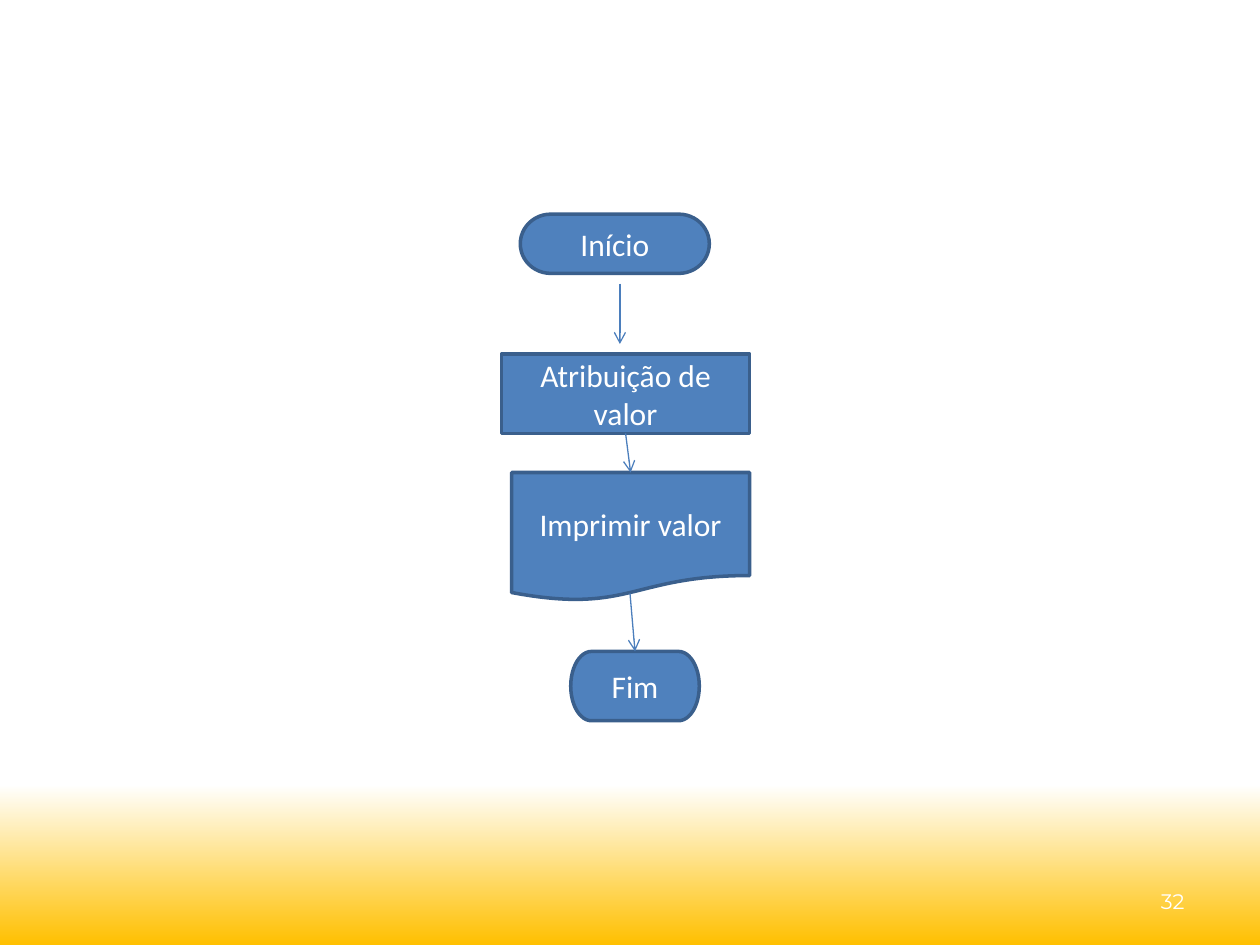
from dataclasses import dataclass

from lxml import etree
from pptx import Presentation
from pptx.dml.color import RGBColor
from pptx.enum.shapes import MSO_CONNECTOR, MSO_SHAPE
from pptx.enum.text import MSO_ANCHOR, PP_ALIGN
from pptx.oxml.ns import qn
from pptx.util import Inches, Pt

TERMINATOR = MSO_SHAPE.FLOWCHART_TERMINATOR
PROCESS = MSO_SHAPE.FLOWCHART_PROCESS
DOCUMENT = MSO_SHAPE.FLOWCHART_DOCUMENT
STRAIGHT = MSO_CONNECTOR.STRAIGHT
MIDDLE = MSO_ANCHOR.MIDDLE
CENTER, RIGHT = PP_ALIGN.CENTER, PP_ALIGN.RIGHT
TOP_SIDE, BOTTOM_SIDE = 0, 2


@dataclass(frozen=True)
class Theme:
    white: RGBColor = RGBColor(0xFF, 0xFF, 0xFF)
    gold: RGBColor = RGBColor(0xFF, 0xC0, 0x00)
    step_fill: RGBColor = RGBColor(0x4F, 0x81, 0xBD)
    step_line: RGBColor = RGBColor(0x3A, 0x5F, 0x8C)
    arrow: RGBColor = RGBColor(0x4B, 0x7E, 0xBC)
    step_font: str = "Calibri"
    number_font: str = "Montserrat"
    step_size: Pt = Pt(18)
    number_size: Pt = Pt(12)
    step_line_width: Pt = Pt(2)
    arrow_width: Pt = Pt(0.75)


THEME = Theme()


def paint_background(slide):
    fill = slide.background.fill
    fill.gradient()
    fill.gradient_angle = 270
    stops = ((0.83, THEME.white), (1, THEME.gold))
    for stop, (position, color) in zip(fill.gradient_stops, stops):
        stop.position = position
        stop.color.rgb = color


def write(frame, text, font_name, size, alignment):
    frame.word_wrap = True
    frame.vertical_anchor = MIDDLE
    paragraph = frame.paragraphs[0]
    paragraph.alignment = alignment
    run = paragraph.add_run()
    run.text = text
    run.font.name = font_name
    run.font.size = size
    run.font.color.rgb = THEME.white


def add_step(slide, outline, text, left, top, width, height):
    step = slide.shapes.add_shape(
        outline, Inches(left), Inches(top), Inches(width), Inches(height))
    step.shadow.inherit = False
    step.fill.solid()
    step.fill.fore_color.rgb = THEME.step_fill
    step.line.color.rgb = THEME.step_line
    step.line.width = THEME.step_line_width
    write(step.text_frame, text, THEME.step_font, THEME.step_size, CENTER)
    return step


def add_arrow(slide, x1, y1, x2, y2):
    arrow = slide.shapes.add_connector(
        STRAIGHT, Inches(x1), Inches(y1), Inches(x2), Inches(y2))
    arrow.line.color.rgb = THEME.arrow
    arrow.line.width = THEME.arrow_width
    outline = arrow.line._get_or_add_ln()
    etree.SubElement(outline, qn("a:tailEnd"), type="arrow")
    etree.SubElement(arrow._element.spPr, qn("a:effectLst"))
    return arrow


def add_flowchart(slide, left, top):
    steps = (
        (TERMINATOR, "Início", 0.15, 0, 1.5, 0.47),
        (PROCESS, "Atribuição de valor", 0, 1.11, 1.97, 0.63),
        (DOCUMENT, "Imprimir valor", 0.08, 2.05, 1.89, 1.02),
        (TERMINATOR, "Fim", 0.55, 3.47, 1.02, 0.55),
    )
    _, assignment, printing, end = [
        add_step(slide, outline, text, left + x, top + y, width, height)
        for outline, text, x, y, width, height in steps
    ]
    arrows = (
        (0.94, 0.55, 0.94, 1.03),
        (0.98, 1.74, 1.02, 2.05),
        (1.02, 3.01, 1.06, 3.47),
    )
    _, to_printing, to_end = [
        add_arrow(slide, left + x1, top + y1, left + x2, top + y2)
        for x1, y1, x2, y2 in arrows
    ]
    to_printing.begin_connect(assignment, BOTTOM_SIDE)
    to_printing.end_connect(printing, TOP_SIDE)
    to_end.end_connect(end, TOP_SIDE)


def add_slide_number(slide, left, top, width, height):
    number = slide.shapes.add_textbox(
        Inches(left), Inches(top), Inches(width), Inches(height))
    write(number.text_frame, "32", THEME.number_font, THEME.number_size, RIGHT)


def main():
    deck = Presentation()
    deck.slide_width, deck.slide_height = Inches(10), Inches(7.5)
    slide = deck.slides.add_slide(deck.slide_layouts[6])
    paint_background(slide)
    add_slide_number(slide, 7.17, 6.95, 2.33, 0.4)
    add_flowchart(slide, 3.98, 1.7)
    deck.save("out.pptx")


if __name__ == "__main__":
    main()
